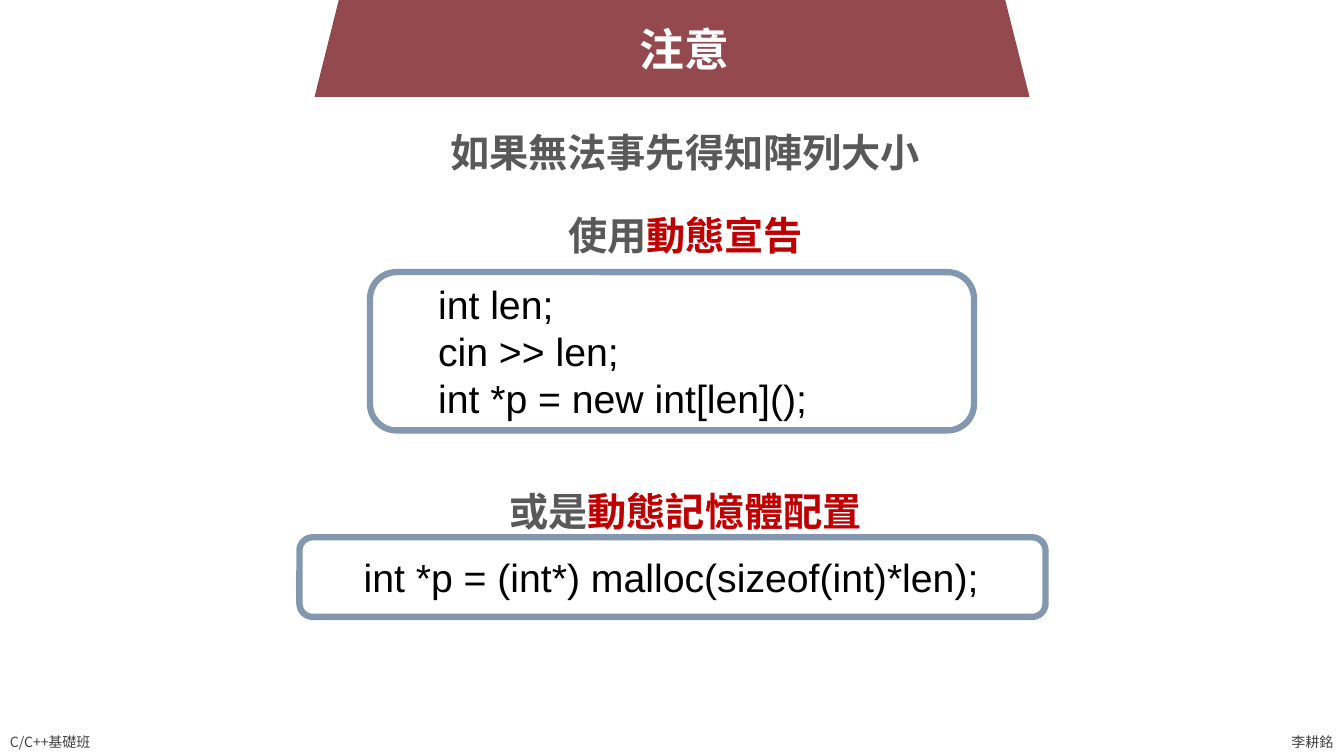
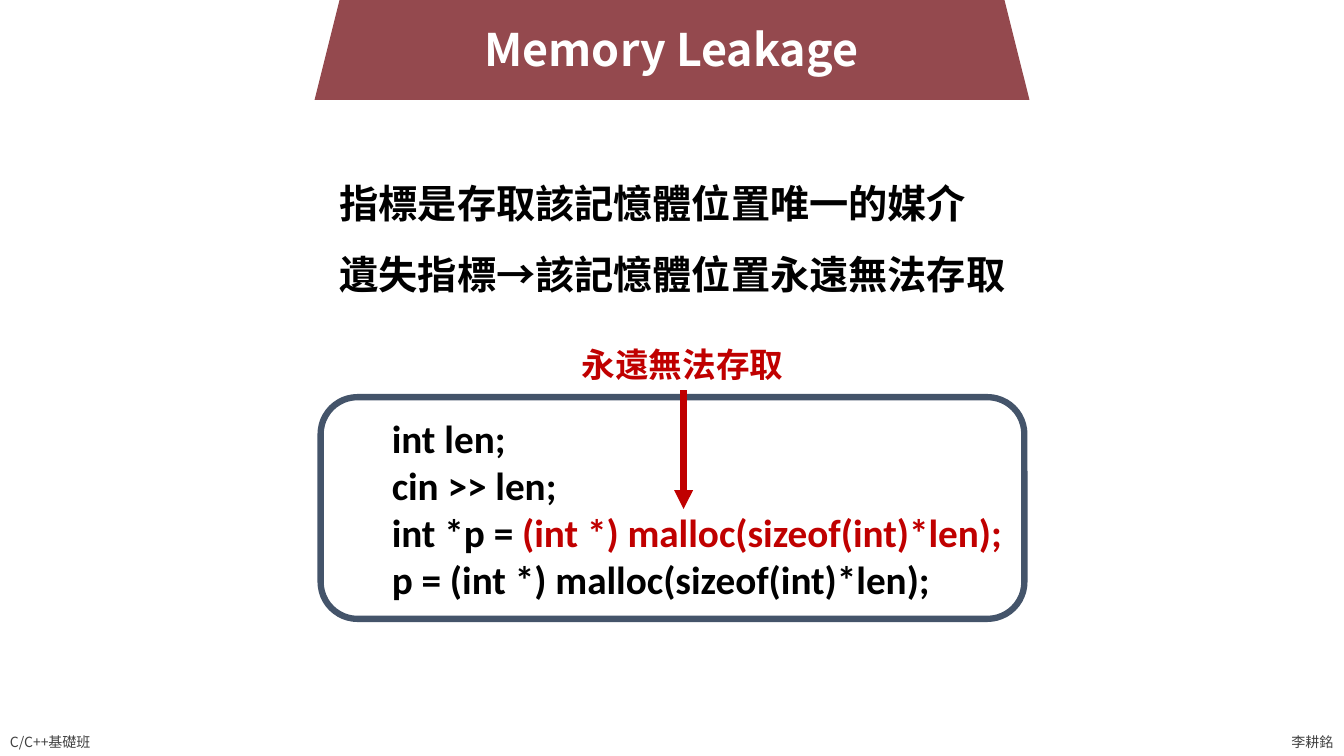
from dataclasses import dataclass

from lxml import etree
from pptx import Presentation
from pptx.dml.color import RGBColor
from pptx.enum.shapes import MSO_CONNECTOR, MSO_SHAPE
from pptx.enum.text import MSO_ANCHOR, PP_ALIGN
from pptx.oxml.ns import qn
from pptx.util import Inches, Pt

LEFT, CENTER = PP_ALIGN.LEFT, PP_ALIGN.CENTER
TOP, MIDDLE = MSO_ANCHOR.TOP, MSO_ANCHOR.MIDDLE
ROUNDED, TRAPEZOID = MSO_SHAPE.ROUNDED_RECTANGLE, MSO_SHAPE.TRAPEZOID
STRAIGHT = MSO_CONNECTOR.STRAIGHT


@dataclass(frozen=True)
class Theme:
    band: str = "94494E"
    white: str = "FFFFFF"
    black: str = "000000"
    grey: str = "595959"
    footer: str = "404040"
    accent: str = "C00000"
    light_frame: str = "8497B0"
    dark_frame: str = "44546A"
    text_font: str = "Noto Sans CJK TC"
    title_size: int = 32
    body_size: int = 28
    label_size: int = 24
    footer_size: int = 10
    line_width: float = 4.5


THEME = Theme()

# Each paragraph is a list of (text, colour) spans; each place is left, top, width, height.
FOOTERS = [
    ("C/C++基礎班", (0, 7.23, 1.07, 0.27), TOP),
    ("李耕銘", (12.71, 7.23, 0.62, 0.27), MIDDLE),
]
SLIDES = [
    {
        "title": "注意",
        "title_place": (6.24, 0.17, 1.1, 0.64),
        "band_top": -0.26,
        "frame": THEME.light_frame,
        "code_font": "Arial",
        "code_bold": False,
        "code": [
            ((3.67, 2.7, 5.99, 1.57), [
                [("int len;", THEME.black)],
                [("cin >> len;", THEME.black)],
                [("int *p = new int[len]();", THEME.black)],
            ]),
            ((2.97, 5.33, 7.4, 0.79), [
                [("int *p = (int*) malloc(sizeof(int)*len);", THEME.black)],
            ]),
        ],
        "texts": [
            {"place": (4.34, 1.22, 4.91, 0.57), "align": CENTER,
             "paragraphs": [[("如果無法事先得知陣列大小", THEME.grey)]]},
            {"place": (5.48, 2.05, 2.64, 0.57), "align": CENTER,
             "paragraphs": [[("使用", THEME.grey), ("動態宣告", THEME.accent)]]},
            {"place": (4.9, 4.79, 3.8, 0.57), "align": CENTER,
             "paragraphs": [[("或是", THEME.grey), ("動態記憶體配置", THEME.accent)]]},
        ],
        "arrows": [],
    },
    {
        "title": "Memory Leakage",
        "title_place": (4.69, 0.17, 3.94, 0.64),
        "band_top": -0.23,
        "frame": THEME.dark_frame,
        "code_font": "Calibri",
        "code_bold": True,
        "code": [
            ((3.18, 3.94, 6.98, 2.2), [
                [("int len;", THEME.black)],
                [("cin >> len;", THEME.black)],
                [("int *p = ", THEME.black),
                 ("(int *) malloc(sizeof(int)*len);", THEME.accent)],
                [("p = (int *) malloc(sizeof(int)*len);", THEME.black)],
            ]),
        ],
        "texts": [
            {"place": (5.67, 3.36, 2.22, 0.5), "size": THEME.label_size,
             "paragraphs": [[("永遠無法存取", THEME.accent)]]},
            {"place": (3.27, 1.5, 7.03, 1.51), "spacing": 1.5,
             "paragraphs": [
                 [("指標是存取該記憶體位置唯一的媒介", THEME.black)],
                 [("遺失指標→該記憶體位置永遠無法存取", THEME.black)],
             ]},
        ],
        "arrows": [(6.78, 3.87, 6.78, 5.05)],
    },
]


def color(value):
    return RGBColor.from_string(value)


def inches(values):
    return [Inches(value) for value in values]


def write(frame, paragraphs, size, font=THEME.text_font, bold=True,
          align=LEFT, spacing=None, indent=None):
    for index, spans in enumerate(paragraphs):
        para = frame.paragraphs[0] if index == 0 else frame.add_paragraph()
        para.alignment = align
        if spacing:
            para.line_spacing = spacing
        if indent:
            para.level = 1
            properties = para._p.get_or_add_pPr()
            properties.set("marL", str(Inches(indent)))
            properties.set("indent", "0")
        for text, text_color in spans:
            span = para.add_run()
            span.text = text
            span.font.size = Pt(size)
            span.font.bold = bold
            span.font.color.rgb = color(text_color)
            span.font.name = font
            east_asian = etree.SubElement(span._r.get_or_add_rPr(), qn("a:ea"))
            east_asian.set("typeface", font)


def add_text(page, place, paragraphs, size=THEME.body_size, anchor=TOP, **style):
    box = page.shapes.add_textbox(*inches(place))
    box.text_frame.word_wrap = False
    box.text_frame.vertical_anchor = anchor
    write(box.text_frame, paragraphs, size, **style)


def add_panel(page, kind, place, fill, outline=None):
    panel = page.shapes.add_shape(kind, *inches(place))
    panel.shadow.inherit = False
    panel.fill.solid()
    panel.fill.fore_color.rgb = color(fill)
    if outline:
        panel.line.color.rgb = color(outline)
        panel.line.width = Pt(THEME.line_width)
    else:
        panel.line.fill.background()
    return panel


def add_arrow(page, ends):
    arrow = page.shapes.add_connector(STRAIGHT, *inches(ends))
    arrow.line.color.rgb = color(THEME.accent)
    arrow.line.width = Pt(THEME.line_width)
    tip = etree.SubElement(arrow.line._get_or_add_ln(), qn("a:tailEnd"))
    tip.set("type", "triangle")
    etree.SubElement(arrow._element.spPr, qn("a:effectLst"))


def add_page(deck, content):
    page = deck.slides.add_slide(deck.slide_layouts[6])
    for text, place, anchor in FOOTERS:
        add_text(page, place, [[(text, THEME.footer)]], THEME.footer_size, anchor, bold=False)

    add_panel(page, TRAPEZOID, (3.12, content["band_top"], 7.09, 1.22), THEME.band)
    add_text(page, content["title_place"], [[(content["title"], THEME.white)]],
             THEME.title_size, align=CENTER)

    for place, lines in content["code"]:
        panel = add_panel(page, ROUNDED, place, THEME.white, content["frame"])
        panel.text_frame.word_wrap = True
        panel.text_frame.vertical_anchor = MIDDLE
        write(panel.text_frame, lines, THEME.body_size, content["code_font"],
              content["code_bold"], indent=0.5)
    for text in content["texts"]:
        add_text(page, **text)
    for ends in content["arrows"]:
        add_arrow(page, ends)


def main():
    deck = Presentation()
    deck.slide_width, deck.slide_height = inches((13.33, 7.5))
    for content in SLIDES:
        add_page(deck, content)
    deck.save("out.pptx")


if __name__ == "__main__":
    main()
